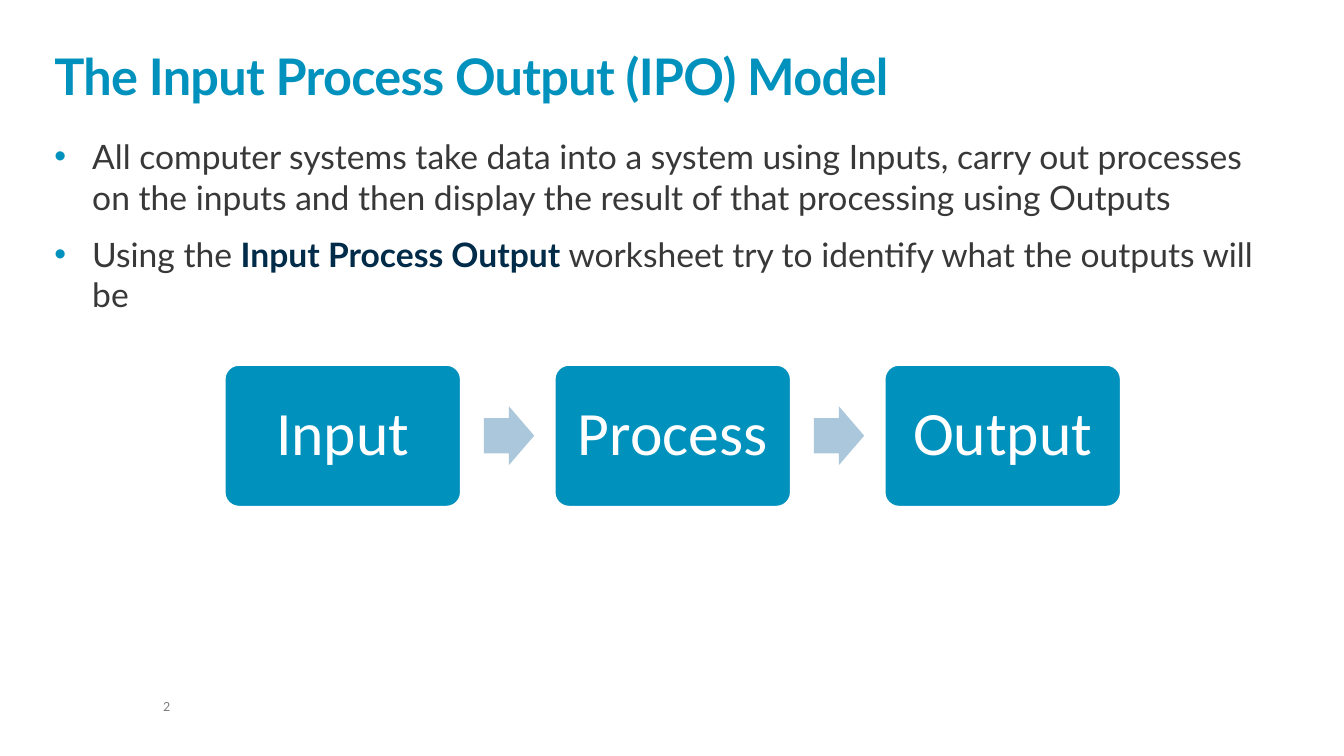
import pptx
import pptx.util
import pptx.dml.color
import pptx.enum.shapes
import pptx.enum.text
import pptx.oxml.ns
from lxml import etree

Pt = pptx.util.Pt
SHAPE = pptx.enum.shapes.MSO_SHAPE
ANCHOR = pptx.enum.text.MSO_ANCHOR
ALIGN = pptx.enum.text.PP_ALIGN

BLUE = "0091BD"
STAGES = ["Input", "Process", "Output"]
BULLETS = [
    [("All computer systems take data into a system using Inputs, carry out "
      "processes on the inputs and then display the result of that "
      "processing using Outputs", False)],
    [("Using the ", False), ("Input Process Output ", True),
     ("worksheet try to identify what the outputs will be", False)],
]


def rgb(value):
    return pptx.dml.color.RGBColor.from_string(value)


def set_font(font, name, size, color, bold=False):
    font.name = name
    font.size = Pt(size)
    font.color.rgb = rgb(color)
    font.bold = bold


def set_frame(tf, anchor=ANCHOR.TOP, wrap=True):
    tf.margin_left = tf.margin_top = tf.margin_right = tf.margin_bottom = 0
    tf.auto_size = pptx.enum.text.MSO_AUTO_SIZE.NONE
    tf.vertical_anchor = anchor
    tf.word_wrap = wrap


def add_text_box(s, left, top, width, height):
    sp = s.shapes.add_textbox(Pt(left), Pt(top), Pt(width), Pt(height))
    set_frame(sp.text_frame)
    return sp.text_frame


def add_title(s, text):
    sp = s.shapes.title
    sp.left, sp.top, sp.width, sp.height = Pt(38.9), Pt(23), Pt(880.6), Pt(52.6)
    set_frame(sp.text_frame, ANCHOR.BOTTOM)
    p = sp.text_frame.paragraphs[0]
    p.text = text
    p.alignment = ALIGN.LEFT
    p.line_spacing = 0.85
    r = p.runs[0]
    set_font(r.font, "Lato", 36, BLUE, True)
    r.font._element.set("spc", "-50")


def set_bullet(p, color, indent):
    pPr = p._p.get_or_add_pPr()
    pPr.set("marL", str(Pt(indent)))
    pPr.set("indent", str(-Pt(indent)))
    qn = pptx.oxml.ns.qn
    clr = etree.SubElement(pPr, qn("a:buClr"))
    etree.SubElement(clr, qn("a:srgbClr"), val=color)
    etree.SubElement(pPr, qn("a:buFont"), typeface="Arial")
    etree.SubElement(pPr, qn("a:buChar"), char="•")


def add_bullets(s, items):
    tf = add_text_box(s, 38.9, 97.2, 880.6, 362)
    for i, parts in enumerate(items):
        p = tf.add_paragraph() if i else tf.paragraphs[0]
        set_bullet(p, BLUE, 27)
        if i:
            p.space_before = Pt(12)
        for text, strong in parts:
            r = p.add_run()
            r.text = text
            set_font(r.font, "Lato", 24, "002B49" if strong else "383838", strong)


def add_block(s, kind, left, top, width, height, fill, adjustments):
    sp = s.shapes.add_shape(kind, Pt(left), Pt(top), Pt(width), Pt(height))
    sp.shadow.inherit = False
    sp.fill.solid()
    sp.fill.fore_color.rgb = rgb(fill)
    sp.line.fill.background()
    for i, value in enumerate(adjustments):
        sp.adjustments[i] = value
    return sp


def add_stage(s, left, text):
    sp = add_block(s, SHAPE.ROUNDED_RECTANGLE, left, 260.8, 168.4, 101, BLUE, [0.1])
    sp.line.color.rgb = rgb("FFFFFF")
    sp.line.width = Pt(1)
    set_frame(sp.text_frame, ANCHOR.MIDDLE, False)
    p = sp.text_frame.paragraphs[0]
    p.text = text
    p.alignment = ALIGN.CENTER
    p.line_spacing = 0.9
    set_font(p.runs[0].font, "Calibri", 44, "FFFFFF")


def add_flow(s, stages):
    for i, text in enumerate(stages):
        left = 160.6 + i * 235.7
        if i:
            add_block(s, SHAPE.RIGHT_ARROW, left - 50.7, 290.3, 36, 41.9,
                      "ABC7DB", [0.6, 0.5])
        add_stage(s, left, text)


def add_slide_number(s, number):
    p = add_text_box(s, 116.6, 499.7, 85.7, 10.8).paragraphs[0]
    p.text = number
    p.line_spacing = 0.9
    set_font(p.runs[0].font, "Calibri", 10, "7F7F7F")


def main():
    prs = pptx.Presentation()
    prs.slide_width, prs.slide_height = Pt(960), Pt(540)
    s = prs.slides.add_slide(prs.slide_layouts[5])
    add_title(s, "The Input Process Output (IPO) Model")
    add_bullets(s, BULLETS)
    add_flow(s, STAGES)
    add_slide_number(s, "2")
    prs.save("out.pptx")


if __name__ == "__main__":
    main()
